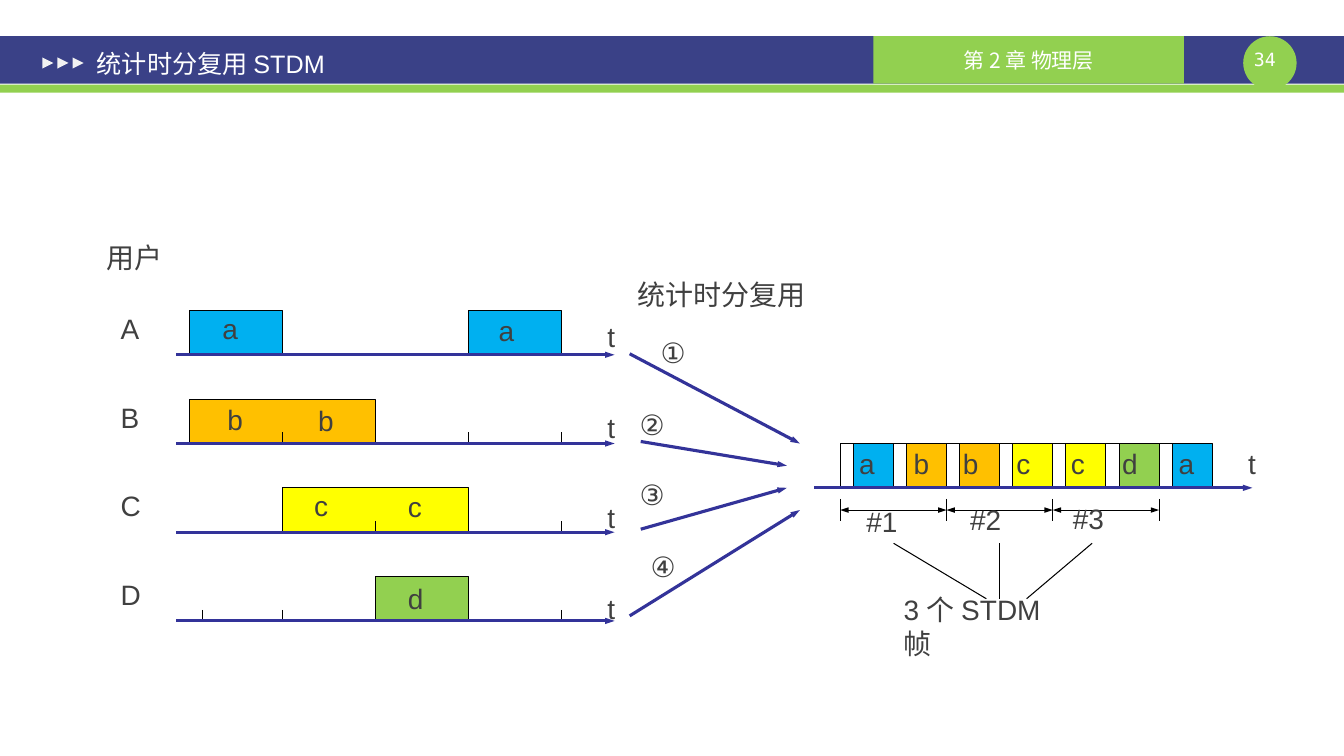
from pptx import Presentation
from pptx.dml.color import RGBColor
from pptx.enum.shapes import MSO_CONNECTOR, MSO_SHAPE
from pptx.enum.text import MSO_ANCHOR, MSO_AUTO_SIZE, PP_ALIGN
from pptx.oxml.ns import qn
from pptx.util import Inches, Pt
from lxml.etree import SubElement

COLORS = {
    "bar": "3A4187", "green": "92D050", "marker": "F2F2F2", "white": "FFFFFF",
    "text": "404040", "axis": "333399", "black": "000000",
    "a": "00B0F0", "b": "FFC000", "c": "FFFF00", "d": "92D050",
}
BLOCK_HEIGHT = 0.44
LABEL_HEIGHT = 0.44
LETTER_WIDTHS = {"a": 0.36, "b": 0.36, "c": 0.34, "d": 0.36}
AXIS = {"color": "axis", "width": 2.25, "tail": True}


def rgb(name):
    return RGBColor.from_string(COLORS[name])


def write(frame, text, size=20, font="Arial", color="text", align=PP_ALIGN.LEFT,
          anchor=MSO_ANCHOR.TOP, wrap=False, insets=(0.1, 0.05)):
    frame.word_wrap = wrap
    frame.vertical_anchor = anchor
    frame.margin_left = frame.margin_right = Inches(insets[0])
    frame.margin_top = frame.margin_bottom = Inches(insets[1])
    para = frame.paragraphs[0]
    para.alignment = align
    span = para.add_run()
    span.text = text
    span.font.size = Pt(size)
    span.font.name = font
    span.font.color.rgb = rgb(color)


def add_label(page, text, left, top, width, height=LABEL_HEIGHT, **style):
    box = page.shapes.add_textbox(Inches(left), Inches(top), Inches(width), Inches(height))
    write(box.text_frame, text, **style)
    box.text_frame.auto_size = MSO_AUTO_SIZE.SHAPE_TO_FIT_TEXT


def add_solid(page, kind, left, top, width, height, color):
    shape = page.shapes.add_shape(kind, Inches(left), Inches(top), Inches(width), Inches(height))
    shape.shadow.inherit = False
    shape.fill.solid()
    shape.fill.fore_color.rgb = rgb(color)
    shape.line.fill.background()
    return shape


def add_line(page, start, end, color="black", width=0.75, head=False, tail=False):
    points = [Inches(value) for value in (*start, *end)]
    line = page.shapes.add_connector(MSO_CONNECTOR.STRAIGHT, *points)
    line.line.color.rgb = rgb(color)
    line.line.width = Pt(width)
    properties = line.element.spPr
    for wanted, tag in ((head, "a:headEnd"), (tail, "a:tailEnd")):
        if wanted:
            SubElement(properties.find(qn("a:ln")), qn(tag), type="triangle", w="sm", len="med")
    SubElement(properties, qn("a:effectLst"))


def add_block(page, left, base, width, color=None):
    """A time slot standing on an axis, with no line along its base."""
    right, top = left + width, base - BLOCK_HEIGHT
    builder = page.shapes.build_freeform(Inches(left), Inches(base))
    outline = [(left, top), (right, top), (right, base)]
    builder.add_line_segments([(Inches(x), Inches(y)) for x, y in outline], close=False)
    block = builder.convert_to_shape()
    block.shadow.inherit = False
    block.line.color.rgb = rgb("black")
    block.line.width = Pt(0.75)
    if color:
        block.fill.solid()
        block.fill.fore_color.rgb = rgb(color)
    else:
        block.fill.background()


def add_tick(page, x, base):
    add_line(page, (x, base - 0.11), (x, base))


def add_header(page, left, top, width):
    # Bars and page number
    add_solid(page, MSO_SHAPE.RECTANGLE, left, top, width, 0.47, "bar")
    add_solid(page, MSO_SHAPE.RECTANGLE, left, top + 0.48, width, 0.08, "green")
    add_solid(page, MSO_SHAPE.OVAL, left + 12.34, top, 0.53, 0.53, "green")
    add_label(page, "34", left + 12.29, top + 0.12, 0.53, 0.22, size=13, wrap=True,
              font="DejaVu Sans Mono", color="white", align=PP_ALIGN.CENTER, insets=(0, 0))
    chapter = add_solid(page, MSO_SHAPE.RECTANGLE, left + 8.67, top, 3.08, 0.47, "green")
    write(chapter.text_frame, "第 2 章 物理层", size=15, font="Noto Sans CJK SC", color="white",
          align=PP_ALIGN.CENTER, anchor=MSO_ANCHOR.MIDDLE, wrap=True, insets=(0.08, 0.04))

    # Markers and title
    for index in range(3):
        marker = add_solid(page, MSO_SHAPE.ISOSCELES_TRIANGLE,
                           left + 0.42 + 0.15 * index, top + 0.21, 0.11, 0.11, "marker")
        marker.rotation = 90
    title = page.shapes.title
    title.left, title.top = Inches(left + 0.85), Inches(top + 0.03)
    title.width, title.height = Inches(5.83), Inches(0.47)
    write(title.text_frame, "统计时分复用 STDM", size=18, color="white",
          anchor=MSO_ANCHOR.MIDDLE, wrap=True, insets=(0.11, 0.06))
    title.element.getparent().append(title.element)


def add_users(page, left, top):
    slot = 0.9225
    first_slot = left + 0.92
    # Name, name width, blocks (slot, count), letter offsets, ticks (slot)
    users = [
        ("A", 0.40, [(0, 1), (3, 1)], [(1.15, -0.48), (3.89, -0.46)], []),
        ("B", 0.39, [(0, 2)], [(1.20, -0.46), (2.10, -0.45)], [1, 3, 4]),
        ("C", 0.41, [(1, 2)], [(2.06, -0.48), (2.99, -0.47)], [2, 4]),
        ("D", 0.42, [(2, 1)], [(2.99, -0.44)], [0.14, 1, 4]),
    ]
    add_label(page, "用户", left, top, 0.76)
    for row, (name, name_width, blocks, letters, ticks) in enumerate(users):
        base = top + 1.18 + 0.88 * row
        letter = name.lower()
        add_label(page, name, left + 0.14, base - 0.48, name_width)
        for start, count in blocks:
            add_block(page, first_slot + slot * start, base, slot * count, letter)
        for start in ticks:
            add_tick(page, first_slot + slot * start, base)
        for x, y in letters:
            add_label(page, letter, left + x, base + y, LETTER_WIDTHS[letter])
        add_label(page, "t", left + 4.97, top + 0.78 + 0.9 * row, 0.28)
        add_line(page, (left + 0.79, base), (left + 5.14, base), **AXIS)


def add_multiplexer(page, left, top):
    # Number, label offset, arrow start and end
    inputs = [
        ("①", (0.23, 0.58), (0.02, 0.81), (1.71, 1.70)),
        ("②", (0.02, 1.29), (0.13, 1.68), (1.58, 1.92)),
        ("③", (0.02, 1.99), (0.13, 2.55), (1.58, 2.14)),
        ("④", (0.13, 2.70), (0.02, 3.41), (1.71, 2.36)),
    ]
    add_label(page, "统计时分复用", left, top, 1.88)
    for number, (x, y), start, end in inputs:
        add_line(page, (left + start[0], top + start[1]), (left + end[0], top + end[1]), **AXIS)
        add_label(page, number, left + x, top + y, 0.48)


def add_stream(page, left, top):
    pitch, gap = 0.5275, 0.13
    first, base = left + 0.26, top + 0.44
    letter_offsets = [0.35, 0.89, 1.38, 1.91, 2.45, 2.96, 3.52]

    # Slots: a blank address gap, then data
    for index, (letter, offset) in enumerate(zip("abbccda", letter_offsets)):
        x = first + pitch * index
        add_block(page, x + gap, base, pitch - gap, letter)
        add_block(page, x, base, gap)
        add_label(page, letter, left + offset, top - 0.02, LETTER_WIDTHS[letter])
    for offset in (2 * pitch + gap, 3 * pitch, 6 * pitch):
        add_tick(page, first + offset, base)
    add_line(page, (left, base), (left + 4.35, base), **AXIS)
    add_label(page, "t", left + 4.21, top - 0.02, 0.28)

    # Frames of two slots each
    frame_edges = [first + 2 * pitch * index for index in range(4)]
    for x in frame_edges:
        add_line(page, (x, top + 0.55), (x, top + 0.77))
    for start, end in zip(frame_edges, frame_edges[1:]):
        add_line(page, (start, top + 0.66), (end, top + 0.66), head=True, tail=True)
    for name, x, y in (("#1", 0.42, 0.56), ("#2", 1.45, 0.54), ("#3", 2.47, 0.53)):
        add_label(page, name, left + x, top + y, 0.51)
    for start, end in ((0.79, 1.71), (1.84, 1.84), (2.76, 2.11)):
        add_line(page, (left + start, top + 0.99), (left + end, top + 1.54))
    add_label(page, "3 个 STDM 帧", left + 0.79, top + 1.43, 1.8, wrap=True)


def main():
    deck = Presentation()
    deck.slide_width, deck.slide_height = Inches(13.34), Inches(7.5)
    page = deck.slides.add_slide(deck.slide_layouts[5])
    add_header(page, 0, 0.36, 13.34)
    add_users(page, 0.96, 2.34)
    add_multiplexer(page, 6.23, 2.7)
    add_stream(page, 8.08, 4.4)
    deck.save("out.pptx")


if __name__ == "__main__":
    main()
